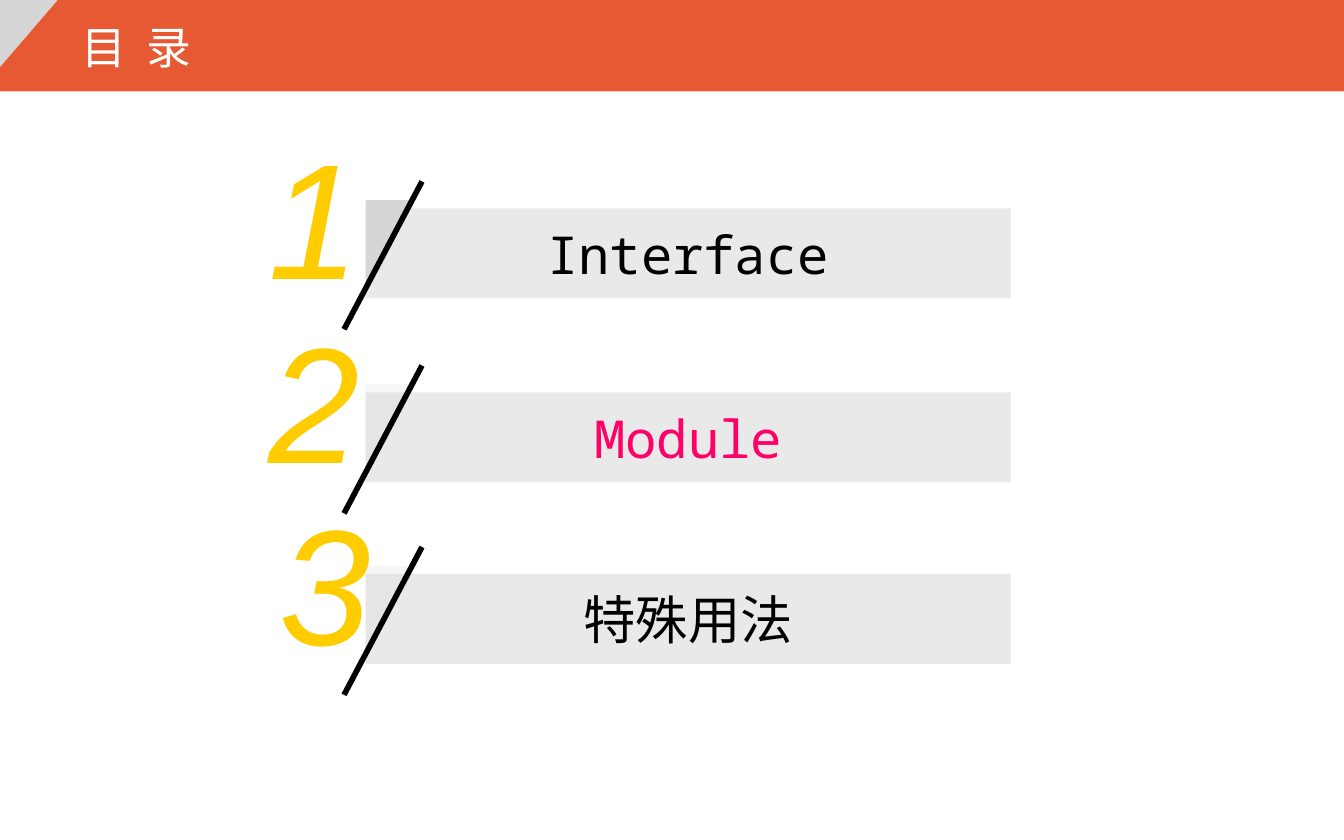
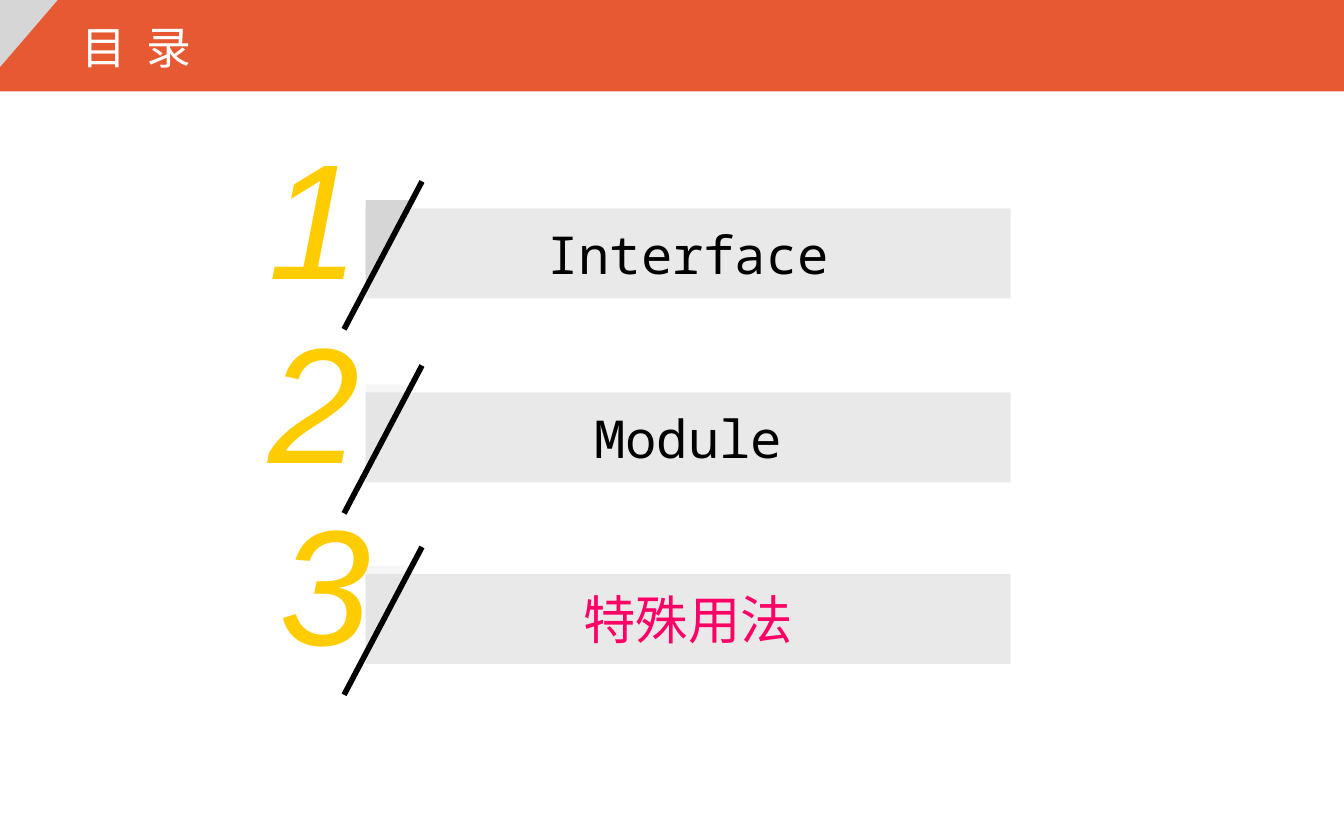
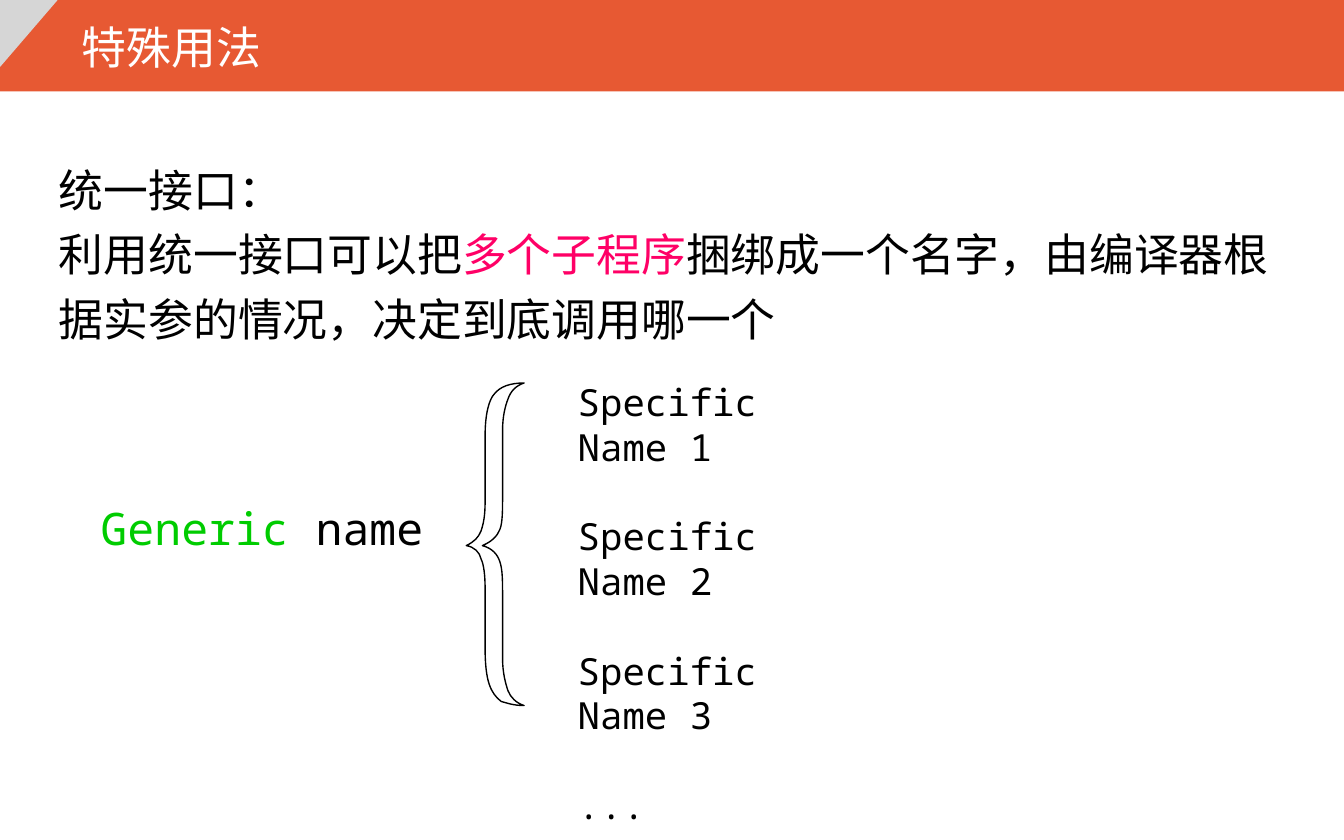
from lxml import etree
from pptx import Presentation
from pptx.dml.color import RGBColor
from pptx.enum import shapes, text
from pptx.oxml import ns
from pptx.util import Inches, Pt

ORANGE = RGBColor(0xE7, 0x59, 0x33)
SILVER = RGBColor(0xD6, 0xD6, 0xD6)
GRAY = RGBColor(0x94, 0x94, 0x94)
YELLOW = RGBColor(0xFF, 0xCC, 0x00)
PINK = RGBColor(0xFF, 0x00, 0x66)
GREEN = RGBColor(0x00, 0xCC, 0x00)
BLACK = RGBColor(0x00, 0x00, 0x00)
WHITE = RGBColor(0xFF, 0xFF, 0xFF)

SANS, MONO, CHINESE = "Arial", "Noto Sans Mono", "Noto Sans CJK SC"

# Number, label, label font, top of the row, shift of the number, triangle opacity
AGENDA = [
    ("1", "Interface", MONO, 1.35, 0, 100),
    ("2", "Module", MONO, 2.72, 0, 20),
    ("3", "特殊用法", SANS, 4.07, 0.08, 20),
]

# Brace outline in hundredths of an inch: a single point ends a straight
# edge, three points are the controls and the end of a cubic curve.
BRACE_START = (27, 35)
BRACE_EDGES = [
    [(27, 25), (29, 17), (31, 12)],
    [(33, 6), (37, 2), (43, 0)],
    [(32, 0), (25, 3), (21, 8)],
    [(17, 12), (14, 23), (14, 39)],
    [(14, 88)],
    [(14, 98), (13, 104), (11, 110)],
    [(9, 115), (6, 118), (0, 121)],
    [(6, 122), (10, 126), (11, 131)],
    [(13, 135), (14, 143), (14, 153)],
    [(14, 198)],
    [(14, 209), (15, 218), (17, 224)],
    [(19, 230), (22, 234), (26, 237)],
    [(30, 238), (35, 240), (43, 240)],
    [(37, 238), (33, 234), (31, 229)],
    [(29, 223), (27, 215), (27, 205)],
    [(27, 159)],
    [(27, 147), (27, 139), (25, 133)],
    [(23, 127), (19, 123), (12, 121)],
    [(19, 118), (23, 114), (25, 109)],
    [(27, 104), (27, 95), (27, 84)],
]


def inches(*lengths):
    return [Inches(length) for length in lengths]


def write(para, spans, font, size, italic=False, spacing=0):
    """Fill a paragraph with (words, colour) spans; spacing is in points."""
    for words, color in spans:
        span = para.add_run()
        span.text = words
        span.font.name = font
        span.font.size = Pt(size)
        span.font.italic = italic
        span.font.color.rgb = color
        properties = span.font._element
        etree.SubElement(properties, ns.qn("a:ea"), typeface=CHINESE)
        if spacing:
            properties.set("spc", str(round(spacing * 100)))


def add_text(parent, box, paragraphs, font, size, wrap=True, line=None, gap=0, **style):
    frame = parent.shapes.add_textbox(*inches(*box)).text_frame
    frame.word_wrap = wrap
    frame.auto_size = text.MSO_AUTO_SIZE.SHAPE_TO_FIT_TEXT
    for index, spans in enumerate(paragraphs):
        para = frame.add_paragraph() if index else frame.paragraphs[0]
        if line:
            para.line_spacing = line
        if index and gap:
            para.space_before = Pt(gap)
        write(para, spans, font, size, **style)


def add_block(parent, kind, box, color, opacity=100):
    block = parent.shapes.add_shape(kind, *inches(*box))
    block.shadow.inherit = False
    block.fill.solid()
    block.fill.fore_color.rgb = color
    block.line.fill.background()
    if opacity < 100:
        tint = block.fill._xPr.find(".//" + ns.qn("a:srgbClr"))
        etree.SubElement(tint, ns.qn("a:alpha"), val=str(opacity * 1000))
    return block


def add_corner(parent, box, opacity=100):
    """Triangle with its right angle at the top left."""
    corner = add_block(parent, shapes.MSO_SHAPE.RIGHT_TRIANGLE, box, SILVER, opacity)
    corner._element.spPr.get_or_add_xfrm().set("flipV", "1")


def add_page(deck, title, spacing=0):
    """Blank page with the title band."""
    page = deck.slides.add_slide(deck.slide_layouts[6])
    add_block(page, shapes.MSO_SHAPE.RECTANGLE, (0, 0, 10, 0.68), ORANGE)
    add_corner(page, (0, 0, 0.43, 0.5))
    add_text(page, (0.51, 0.1, 3.39, 0.5), [[(title, WHITE)]], SANS, 24, spacing=spacing)
    return page


def add_agenda_row(page, left, row, color):
    number, label, font, top, shift, opacity = row
    group = page.shapes.add_group_shape()
    add_text(group, (left + shift, top - 0.54, 0.88, 1.57), [[(number, YELLOW)]],
             SANS, 88, wrap=False, italic=True)

    bar = add_block(group, shapes.MSO_SHAPE.RECTANGLE,
                    (left + 0.82, top + 0.2, 4.8, 0.67), GRAY, 20)
    bar.text_frame.vertical_anchor = text.MSO_ANCHOR.MIDDLE
    para = bar.text_frame.paragraphs[0]
    para.alignment = text.PP_ALIGN.CENTER
    write(para, [(label, color)], font, 28)

    add_corner(group, (left + 0.82, top + 0.14, 0.37, 0.66), opacity)
    slash = group.shapes.add_connector(
        shapes.MSO_CONNECTOR.STRAIGHT,
        *inches(left + 1.24, top, left + 0.66, top + 1.1))
    slash.line.color.rgb = BLACK
    slash.line.width = Pt(3)
    etree.SubElement(slash._element.spPr, ns.qn("a:effectLst"))


def add_agenda(deck, current):
    page = add_page(deck, "目 录", spacing=2.7)
    for row in AGENDA:
        add_agenda_row(page, 1.9, row, PINK if row[0] == current else BLACK)


def bend_edges(outline, edges):
    """Turn each run of three straight edges that stands for a curve into one."""
    lines = iter(outline._element.findall(".//" + ns.qn("a:lnTo")))
    for edge in edges:
        parts = [next(lines) for _ in edge]
        if len(parts) == 3:
            curve = etree.Element(ns.qn("a:cubicBezTo"))
            parts[0].addprevious(curve)
            for part in parts:
                curve.append(part[0])
                part.getparent().remove(part)


def add_brace(page, left, top):
    builder = page.shapes.build_freeform(*BRACE_START, scale=Inches(0.01))
    builder.add_line_segments([point for edge in BRACE_EDGES for point in edge], close=True)
    brace = builder.convert_to_shape(*inches(left, top))
    bend_edges(brace, BRACE_EDGES)
    brace.shadow.inherit = False
    brace.fill.background()
    brace.line.color.rgb = BLACK
    brace.line.width = Pt(0.75)


def add_generic_interface(deck):
    page = add_page(deck, "特殊用法")
    explanation = [
        [("统一接口：", BLACK)],
        [("利用统一接口可以把", BLACK), ("多个子程序", PINK),
         ("捆绑成一个名字，由编译器根据实参的情况，决定到底调用哪一个", BLACK)],
    ]
    add_text(page, (0.34, 1.08, 9.4, 1.54), explanation, CHINESE, 24, line=1.2)
    add_text(page, (0.65, 3.68, 2.61, 0.5), [[("Generic ", GREEN), ("name", BLACK)]],
             MONO, 24, wrap=False)
    names = [f"Specific Name {number}" for number in (1, 2, 3)] + ["..."]
    add_text(page, (4.2, 2.77, 2.29, 2.77), [[(name, BLACK)] for name in names],
             MONO, 20, gap=24)
    add_brace(page, 3.47, 2.85)


def main():
    deck = Presentation()
    deck.slide_width, deck.slide_height = inches(10, 6.25)
    add_agenda(deck, current="2")
    add_agenda(deck, current="3")
    add_generic_interface(deck)
    deck.save("out.pptx")


if __name__ == "__main__":
    main()
